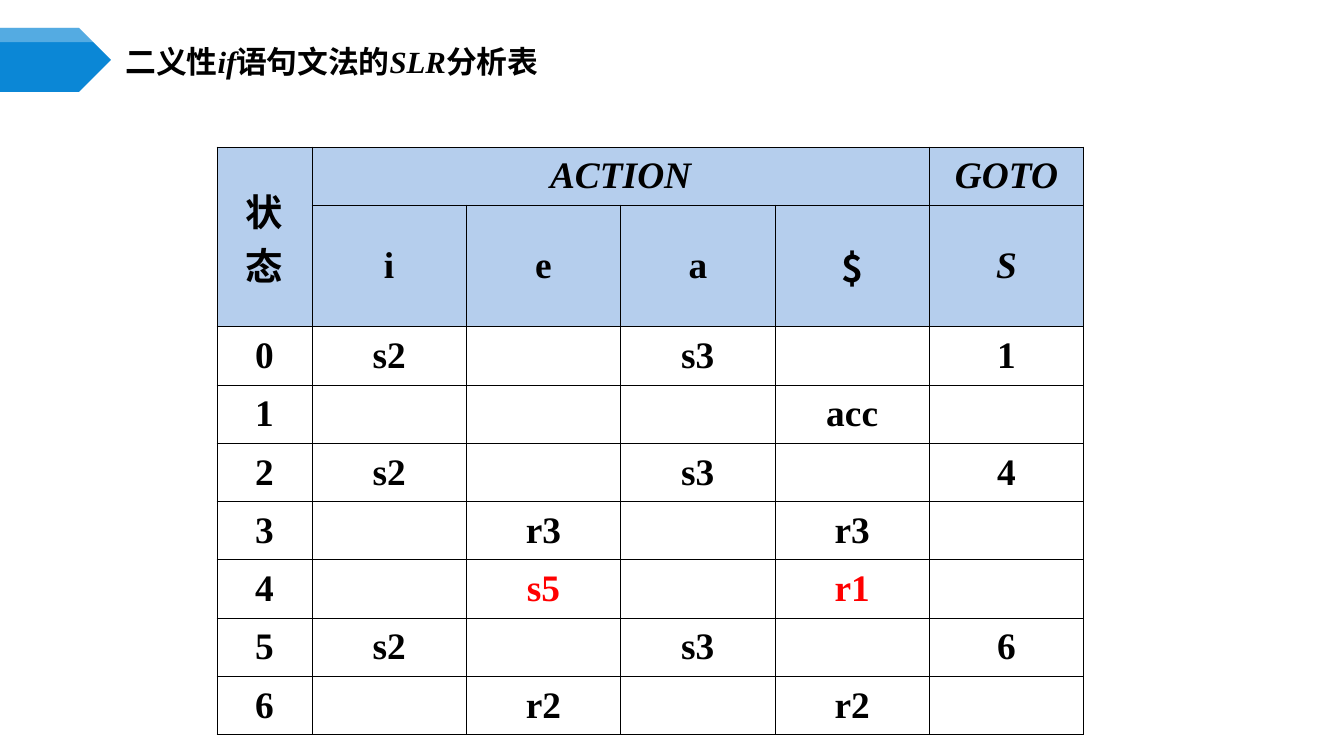
from lxml import etree
from pptx import Presentation
from pptx.dml.color import RGBColor
from pptx.enum import text
from pptx.oxml import parse_xml
from pptx.oxml.ns import nsdecls, qn
from pptx.util import Pt

BLACK = RGBColor(0x00, 0x00, 0x00)
WHITE = RGBColor(0xFF, 0xFF, 0xFF)
RED = RGBColor(0xFF, 0x00, 0x00)
BLUE = RGBColor(0x0B, 0x87, 0xD6)
HEADER_BLUE = RGBColor(0xB5, 0xCE, 0xED)
CHINESE, LATIN = "Noto Sans CJK SC", "Times New Roman"

TITLE = [("二义性", CHINESE), ("if", LATIN), ("语句文法的", CHINESE),
         ("SLR", LATIN), ("分析表", CHINESE)]
ROWS = [
    ["状态", "ACTION", "", "", "", "GOTO"],
    ["", "i", "e", "a", "$", "S"],
    ["0", "s2", "", "s3", "", "1"],
    ["1", "", "", "", "acc", ""],
    ["2", "s2", "", "s3", "", "4"],
    ["3", "", "r3", "", "r3", ""],
    ["4", "", "s5", "", "r1", ""],
    ["5", "s2", "", "s3", "", "6"],
    ["6", "", "r2", "", "r2", ""],
]
MERGES = [((0, 0), (1, 0)), ((0, 1), (0, 4))]
HEADER_ROWS = 2
CHINESE_CELLS = {"状态", "$"}
ITALIC_CELLS = {"ACTION", "GOTO", "S"}
RED_CELLS = {"s5", "r1"}

SLIDE_SIZE = (1344, 756)
TITLE_BOX = (112, 39, 1165, 52)
ARROW = [(0, 28), (79, 28), (111, 60), (79, 92), (0, 92)]
ARROW_GLOSS = [(0, 28), (105, 28), (111, 35), (105, 42), (0, 42)]
TABLE_BOX = (217, 147, 867, 569)
STATE_WIDTH = 95
HEADER_HEIGHTS = [58, 103]

EMU_PER_PX = 914400 / 134.4


def px(length):
    return round(length * EMU_PER_PX)


def add_run(paragraph, words, font_name, size, color=BLACK, italic=False):
    run = paragraph.add_run()
    run.text = words
    font = run.font
    font.size, font.bold, font.italic = Pt(size), True, italic
    font.color.rgb = color
    font.name = font_name
    east_asian = etree.SubElement(run._r.get_or_add_rPr(), qn("a:ea"))
    east_asian.set("typeface", font_name)


def add_outline(slide, points, color, opacity=None):
    builder = slide.shapes.build_freeform(*points[0], scale=EMU_PER_PX)
    builder.add_line_segments(points[1:], close=True)
    shape = builder.convert_to_shape()
    shape.shadow.inherit = False
    shape.fill.solid()
    shape.fill.fore_color.rgb = color
    shape.line.fill.background()
    if opacity is not None:
        fill_color = shape._element.spPr.find(f".//{qn('a:srgbClr')}")
        etree.SubElement(fill_color, qn("a:alpha")).set("val", str(opacity * 1000))


def add_title(slide):
    title = slide.shapes.title
    title.left, title.top, title.width, title.height = map(px, TITLE_BOX)
    frame = title.text_frame
    frame.auto_size = text.MSO_AUTO_SIZE.NONE
    frame.vertical_anchor = text.MSO_ANCHOR.MIDDLE
    paragraph = frame.paragraphs[0]
    paragraph.alignment = text.PP_ALIGN.LEFT
    paragraph.line_spacing = 0.8
    for words, font_name in TITLE:
        add_run(paragraph, words, font_name, 16.5, italic=font_name == LATIN)


def set_borders(cell):
    properties = cell._tc.get_or_add_tcPr()
    for side in ("lnL", "lnR", "lnT", "lnB"):
        properties.append(parse_xml(
            f'<a:{side} {nsdecls("a")} w="{Pt(0.45)}"><a:solidFill>'
            f'<a:srgbClr val="{BLACK}"/></a:solidFill></a:{side}>'))


def fill_cell(cell, words, is_header):
    set_borders(cell)
    if is_header:
        cell.fill.solid()
        cell.fill.fore_color.rgb = HEADER_BLUE
    else:
        cell.fill.background()
    cell.vertical_anchor = text.MSO_ANCHOR.MIDDLE
    paragraph = cell.text_frame.paragraphs[0]
    paragraph.alignment = text.PP_ALIGN.CENTER
    if words:
        add_run(paragraph, words, CHINESE if words in CHINESE_CELLS else LATIN, 20,
                RED if words in RED_CELLS else BLACK, words in ITALIC_CELLS)


def add_parsing_table(slide):
    row_count, column_count = len(ROWS), len(ROWS[0])
    table = slide.shapes.add_table(row_count, column_count, *map(px, TABLE_BOX)).table
    table.first_row = table.horz_banding = False

    width, height = TABLE_BOX[2:]
    symbol_width = (width - STATE_WIDTH) / (column_count - 1)
    for index, column in enumerate(table.columns):
        column.width = px(symbol_width if index else STATE_WIDTH)
    body_height = (height - sum(HEADER_HEIGHTS)) / (row_count - HEADER_ROWS)
    heights = HEADER_HEIGHTS + [body_height] * (row_count - HEADER_ROWS)
    for row, row_height in zip(table.rows, heights):
        row.height = px(row_height)

    for first, last in MERGES:
        table.cell(*first).merge(table.cell(*last))
    for row_index, row in enumerate(ROWS):
        for column_index, words in enumerate(row):
            fill_cell(table.cell(row_index, column_index), words, row_index < HEADER_ROWS)


def main():
    presentation = Presentation()
    presentation.slide_width, presentation.slide_height = map(px, SLIDE_SIZE)
    slide = presentation.slides.add_slide(presentation.slide_layouts.get_by_name("Title Only"))
    add_outline(slide, ARROW, BLUE)
    add_outline(slide, ARROW_GLOSS, WHITE, opacity=30)
    add_title(slide)
    add_parsing_table(slide)
    presentation.save("out.pptx")


if __name__ == "__main__":
    main()
